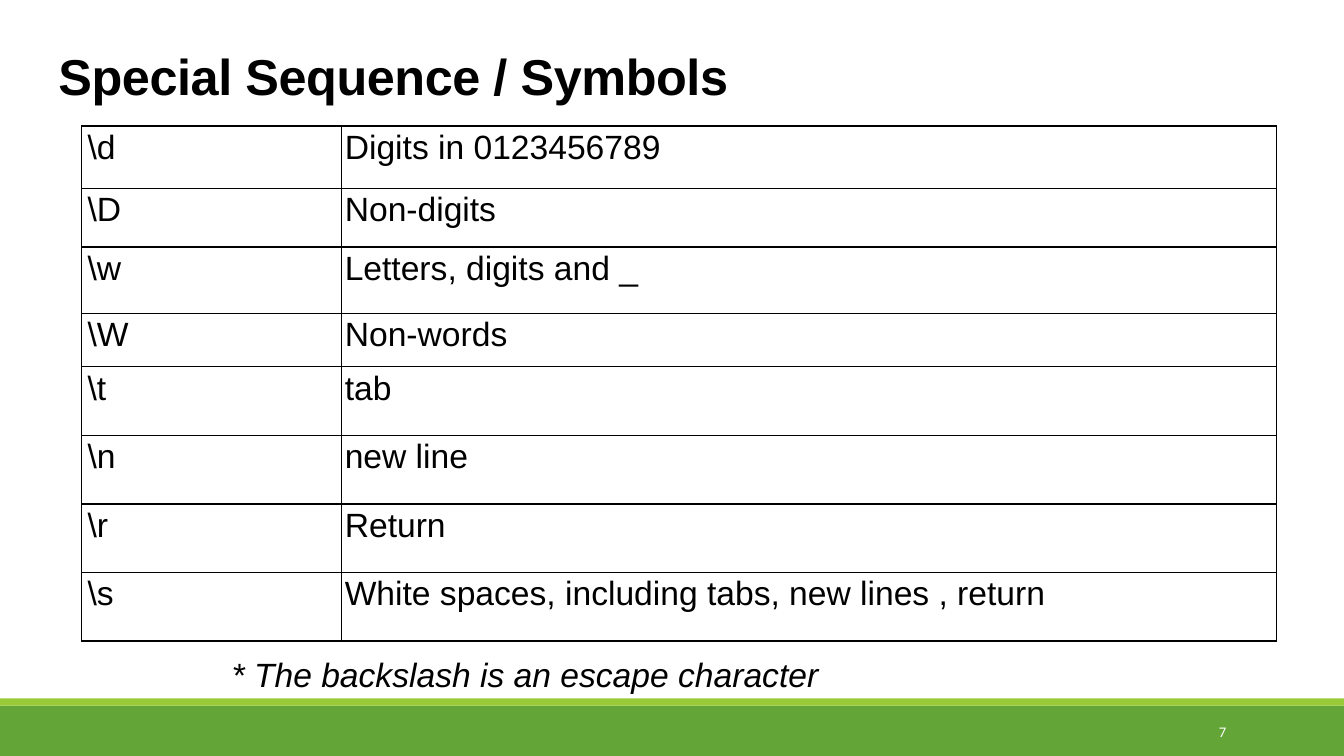
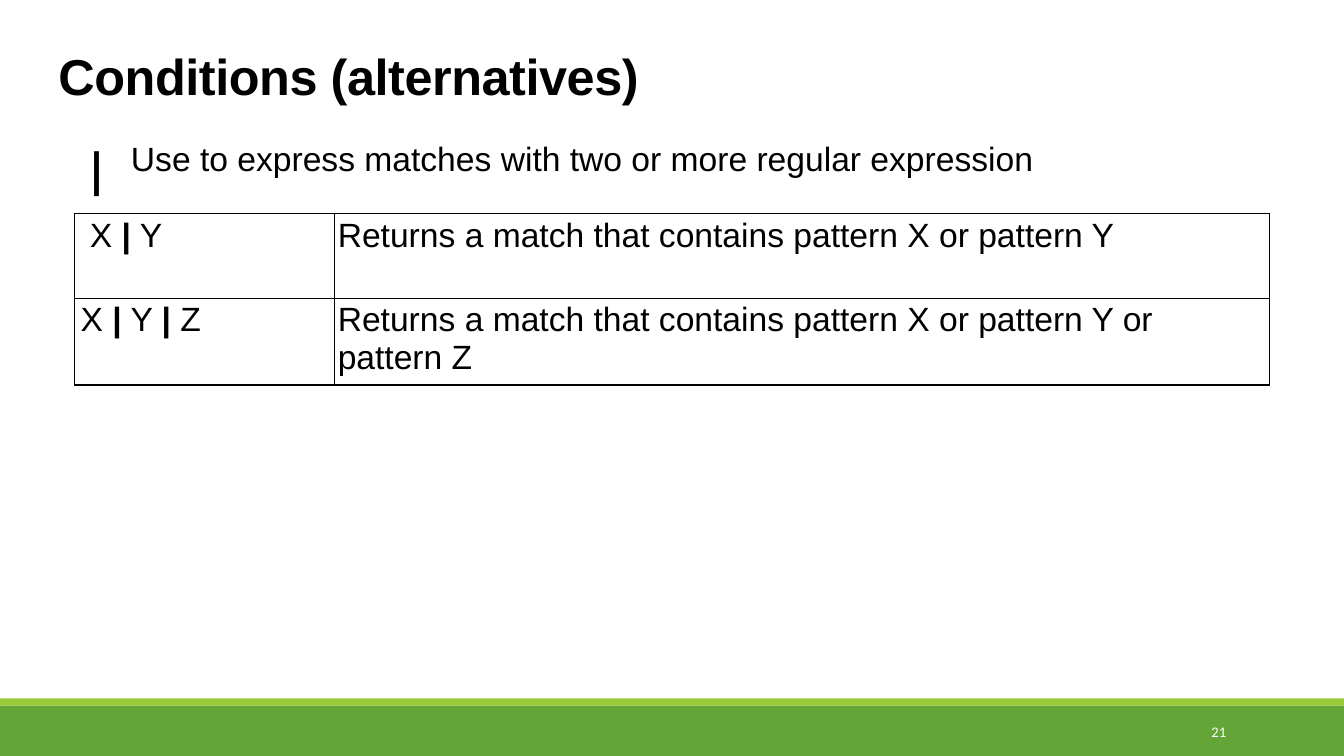
import pptx
import pptx.dml.color
import pptx.enum.shapes
import pptx.enum.text
import pptx.oxml
import pptx.oxml.ns
import pptx.util
from pptx.util import Inches

BLACK, WHITE, GREEN, LIME = "000000", "FFFFFF", "63A537", "99CB38"
SLIDE_WIDTH = 13.33
BANDS = [(7, 0.5, GREEN), (6.93, 0.07, LIME)]
COLUMN_WIDTHS = [2.58, 9.27]
COLUMN_INSETS = [0.06, 0.03]
CELL_INSET = 0.03

SLIDES = [
    {
        "title": "Special Sequence / Symbols",
        "number": "7",
        "table_at": (0.81, 1.25),
        "rows": [
            (0.62, "\\d", "Digits in 0123456789"),
            (0.58, "\\D", "Non-digits"),
            (0.66, "\\w", "Letters, digits and _"),
            (0.53, "\\W", "Non-words"),
            (0.68, "\\t", "tab"),
            (0.68, "\\n", "new line"),
            (0.68, "\\r", "Return"),
            (0.68, "\\s", "White spaces, including tabs, new lines , return"),
        ],
        "remarks": [
            ((2.2, 6.44, 6.07, 0.5), "* The backslash is an escape character", {"italic": True}),
        ],
    },
    {
        "title": "Conditions (alternatives)",
        "number": "21",
        "table_at": (0.74, 2.12),
        "rows": [
            (0.84, " X **|** Y", "Returns a match that contains pattern X or pattern Y"),
            (0.84, "X **|** Y **|** Z",
             "Returns a match that contains pattern X or pattern Y or pattern Z"),
        ],
        "remarks": [
            ((0.74, 1.32, 0.56, 0.71), "|", {"size": 36, "font": "Calibri", "bold": True}),
            ((1.2, 1.32, 10.35, 0.5),
             "Use to express matches with two or more regular expression", {}),
        ],
    },
]


def colour(hex_code):
    return pptx.dml.color.RGBColor.from_string(hex_code)


def write(frame, text, size=24, font="Arial", color=BLACK, bold=False, italic=False,
          align="LEFT", anchor="TOP", spacing=None):
    """Fill a text frame; parts between double asterisks are bold."""
    frame.word_wrap = True
    frame.vertical_anchor = pptx.enum.text.MSO_ANCHOR[anchor]
    paragraph = frame.paragraphs[0]
    paragraph.alignment = pptx.enum.text.PP_ALIGN[align]
    for index, part in enumerate(text.split("**")):
        run = paragraph.add_run()
        run.text = part
        run.font.size = pptx.util.Pt(size)
        run.font.name = font
        run.font.bold = bold or index % 2 == 1
        run.font.italic = italic
        run.font.color.rgb = colour(color)
        if spacing is not None:
            run.font._element.set("spc", str(round(spacing * 100)))


deck = pptx.Presentation()
deck.slide_width = Inches(SLIDE_WIDTH)
deck.slide_height = Inches(7.5)

for content in SLIDES:
    slide = deck.slides.add_slide(deck.slide_layouts[6])

    for top, height, fill in BANDS:
        band = slide.shapes.add_shape(
            pptx.enum.shapes.MSO_SHAPE.RECTANGLE,
            0, Inches(top), Inches(SLIDE_WIDTH), Inches(height))
        band.shadow.inherit = False
        band.fill.solid()
        band.fill.fore_color.rgb = colour(fill)
        band.line.fill.background()

    title = slide.shapes.add_textbox(
        Inches(0.58), Inches(0.45), Inches(12.3), Inches(0.61)).text_frame
    title.margin_left = title.margin_right = title.margin_top = title.margin_bottom = 0
    write(title, content["title"], size=36, bold=True, spacing=-0.3)

    page_number = slide.shapes.add_textbox(
        Inches(10.83), Inches(7.06), Inches(1.43), Inches(0.4))
    write(page_number.text_frame, content["number"], size=10.5, font="Calibri",
          color=WHITE, align="RIGHT", anchor="MIDDLE")

    for place, text, style in content["remarks"]:
        remark = slide.shapes.add_textbox(*map(Inches, place))
        write(remark.text_frame, text, **style)

    rows = content["rows"]
    left, top = content["table_at"]
    table = slide.shapes.add_table(
        len(rows), len(COLUMN_WIDTHS), Inches(left), Inches(top),
        Inches(sum(COLUMN_WIDTHS)), Inches(sum(row[0] for row in rows))).table
    table.first_row = table.horz_banding = False
    for column, width in zip(table.columns, COLUMN_WIDTHS):
        column.width = Inches(width)

    for row_index, (height, *texts) in enumerate(rows):
        table.rows[row_index].height = Inches(height)
        for column_index, text in enumerate(texts):
            cell = table.cell(row_index, column_index)
            cell.margin_left = Inches(COLUMN_INSETS[column_index])
            cell.margin_right = cell.margin_top = cell.margin_bottom = Inches(CELL_INSET)
            write(cell.text_frame, text)
            cell_format = cell._tc.get_or_add_tcPr()
            for side in ("lnL", "lnR", "lnT", "lnB"):
                cell_format.append(pptx.oxml.parse_xml(
                    f'<a:{side} {pptx.oxml.ns.nsdecls("a")} w="{pptx.util.Pt(1)}">'
                    f'<a:solidFill><a:srgbClr val="{BLACK}"/></a:solidFill></a:{side}>'))
            cell.fill.background()

deck.save("out.pptx")
